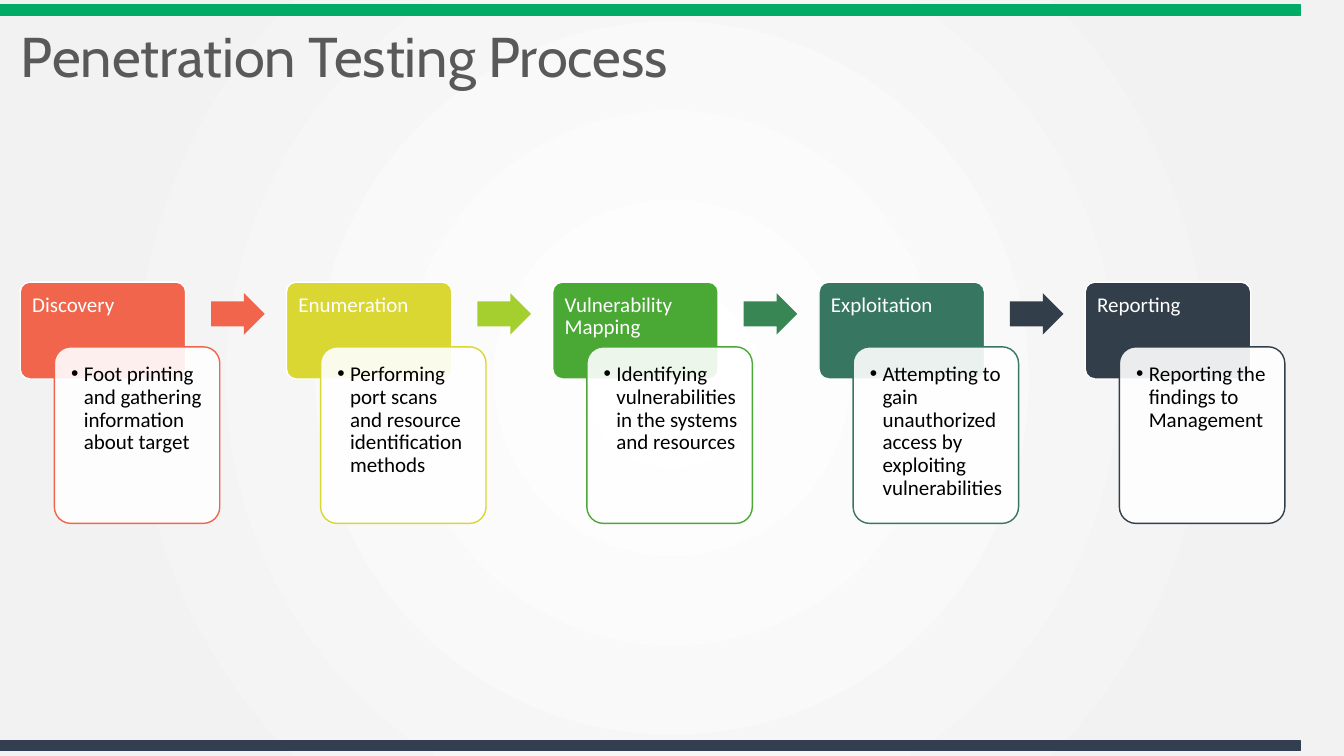
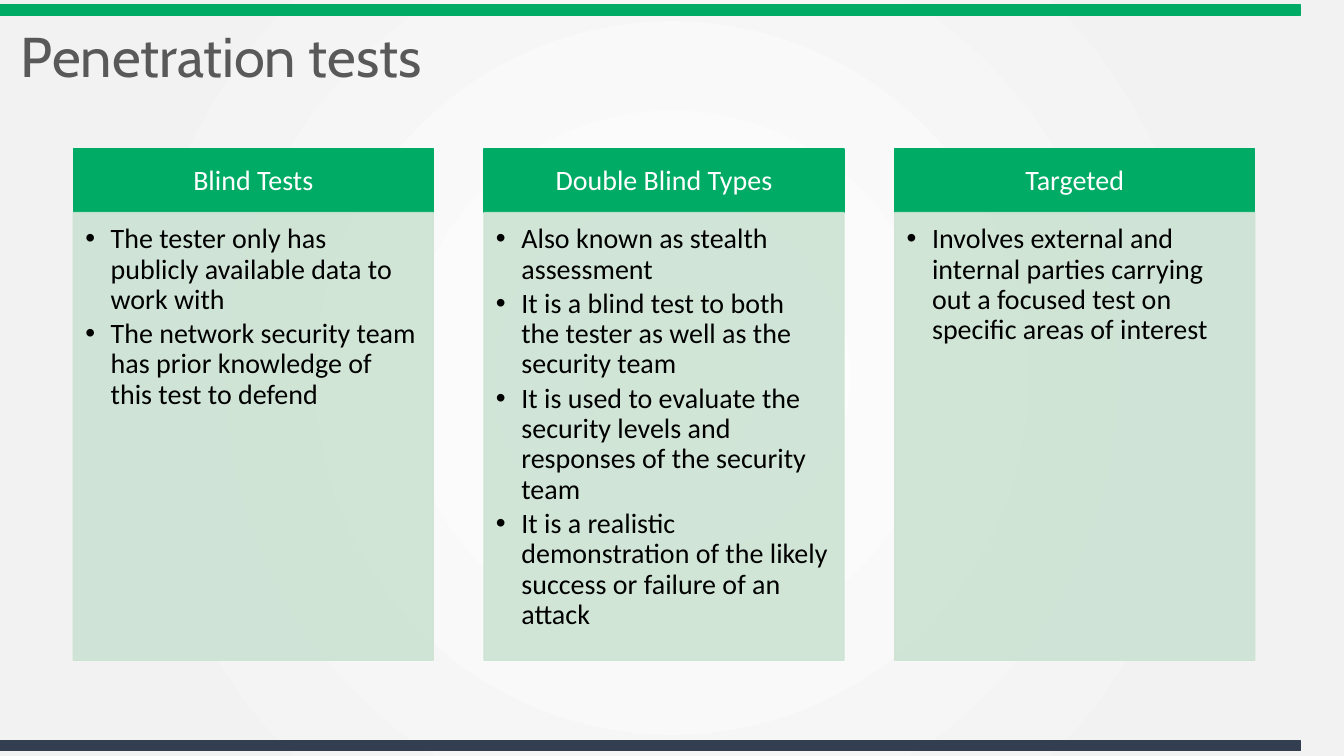
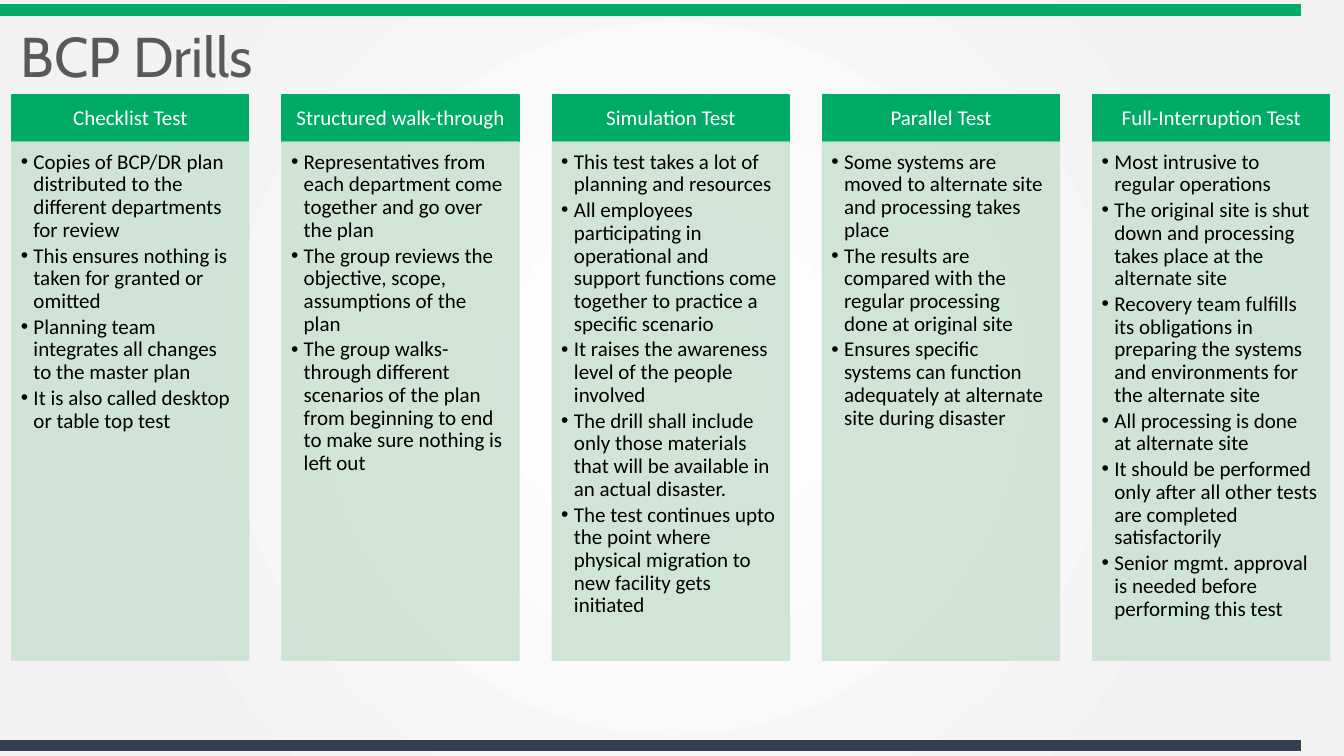
from lxml.etree import SubElement
from pptx import Presentation
from pptx.dml.color import RGBColor
from pptx.enum.shapes import MSO_SHAPE as Shape
from pptx.enum.text import MSO_ANCHOR as Anchor, PP_ALIGN as Align
from pptx.oxml.ns import qn
from pptx.util import Cm, Pt

GREEN, NAVY, PALE_GREEN = "00AC65", "333F50", "CCE3D3"
WHITE, BLACK, GREY, LIGHT_GREY = "FFFFFF", "000000", "595959", "F2F2F2"
BODY_FONT, TITLE_FONT = "Calibri", "Cabin"
SLIDE_WIDTH, SLIDE_HEIGHT = 33.87, 19.05
COLUMN_BOTTOM = 16.64


def paint(fill, color, opacity=100):
    fill.solid()
    fill.fore_color.rgb = RGBColor.from_string(color)
    if opacity < 100:
        # The colour element is reached through the fill of its parent
        for color_element in fill._xPr.iter(qn("a:srgbClr")):
            SubElement(color_element, qn("a:alpha"), val=str(opacity * 1000))


def add_bullet(paragraph, indent):
    properties = paragraph._p.get_or_add_pPr()
    properties.set("marL", str(Cm(indent)))
    properties.set("indent", str(-Cm(indent)))
    SubElement(properties, qn("a:buFont"), typeface="Arial")
    SubElement(properties, qn("a:buChar"), char="•")


def write(shape, texts, size, color=BLACK, font=BODY_FONT, align=Align.LEFT,
          anchor=Anchor.TOP, insets=(0.25, 0.13, 0.25, 0.13), after=0, bullet=None):
    """Fill a shape with paragraphs; insets run left, top, right, bottom in cm.

    after is the space below each paragraph as a share of the text size,
    bullet the hanging indent in cm."""
    frame = shape.text_frame
    frame.word_wrap = True
    frame.vertical_anchor = anchor
    (frame.margin_left, frame.margin_top,
     frame.margin_right, frame.margin_bottom) = map(Cm, insets)
    for index, text in enumerate(texts):
        paragraph = frame.add_paragraph() if index else frame.paragraphs[0]
        if bullet:
            add_bullet(paragraph, bullet)
        paragraph.alignment = align
        paragraph.line_spacing = 0.9
        paragraph.space_after = Pt(size * after)
        run = paragraph.add_run()
        run.text = text
        run.font.size = Pt(size)
        run.font.name = font
        run.font.color.rgb = RGBColor.from_string(color)


class Deck:
    def __init__(self):
        self.presentation = Presentation()
        self.presentation.slide_width = Cm(SLIDE_WIDTH)
        self.presentation.slide_height = Cm(SLIDE_HEIGHT)
        self.slide = None

    def new_slide(self, title):
        self.slide = self.presentation.slides.add_slide(self.presentation.slide_layouts[6])
        self.radial_background()
        for top, color in ((0.13, GREEN), (18.67, NAVY)):
            self.shape(Shape.RECTANGLE, 0, top, 32.77, 0.25, color, line=color)
        box = self.slide.shapes.add_textbox(Cm(0.28), Cm(0.48), Cm(29.72), Cm(2.03))
        write(box, [title], 40, GREY, TITLE_FONT, anchor=Anchor.MIDDLE)

    def radial_background(self):
        self.slide.background.fill.gradient()
        gradient = self.slide.element.find(".//" + qn("a:gradFill"))
        for child in list(gradient):
            gradient.remove(child)
        stops = SubElement(gradient, qn("a:gsLst"))
        for position, color in ((0, WHITE), (81, LIGHT_GREY), (100, LIGHT_GREY)):
            stop = SubElement(stops, qn("a:gs"), pos=str(position * 1000))
            SubElement(stop, qn("a:srgbClr"), val=color)
        circle = SubElement(gradient, qn("a:path"), path="circle")
        SubElement(circle, qn("a:fillToRect"), l="50000", t="50000", r="50000", b="50000")

    def shape(self, kind, left, top, width, height, fill, line=None,
              opacity=100, line_opacity=100, adjustments=()):
        shape = self.slide.shapes.add_shape(kind, Cm(left), Cm(top), Cm(width), Cm(height))
        shape.shadow.inherit = False
        paint(shape.fill, fill, opacity)
        if line:
            paint(shape.line.fill, line, line_opacity)
            shape.line.width = Pt(1)
        else:
            shape.line.fill.background()
        for index, value in enumerate(adjustments):
            shape.adjustments[index] = value
        return shape

    def step(self, left, name, detail, color, arrow_color):
        """Draw a process card, its overlapping detail card and the arrow onwards."""
        card = self.shape(Shape.ROUNDED_RECTANGLE, left, 7.11, 4.17, 2.44,
                          color, line=WHITE, adjustments=[0.1])
        write(card, [name], 15, WHITE, insets=(0.23, 0.23, 0.23, 0.15), after=0.35)
        detail_card = self.shape(Shape.ROUNDED_RECTANGLE, left + 0.86, 8.74, 4.17, 4.45,
                                 WHITE, line=color, opacity=90, adjustments=[0.1])
        write(detail_card, [detail], 15, insets=(0.3, 0.3, 0.25, 0.3), after=0.15, bullet=0.32)
        if arrow_color:
            self.shape(Shape.RIGHT_ARROW, left + 4.81, 7.39, 1.35, 1.04,
                       arrow_color, adjustments=[0.6, 0.5])

    def columns(self, columns, left, top, width, pitch, header_height, size, indent):
        """Draw headed bullet columns, with insets in proportion to the text size."""
        side, body_side = 0.02 * size, 0.015 * size
        body_top = top + header_height
        for index, (heading, points) in enumerate(columns):
            x = left + index * pitch
            header = self.shape(Shape.RECTANGLE, x, top, width, header_height, GREEN, line=GREEN)
            write(header, [heading], size, WHITE, align=Align.CENTER, anchor=Anchor.MIDDLE,
                  insets=(side, 0.6 * side, side, 0.6 * side), after=0.35)
            body = self.shape(Shape.RECTANGLE, x, body_top, width, COLUMN_BOTTOM - body_top,
                              PALE_GREEN, line=PALE_GREEN, opacity=90, line_opacity=90)
            write(body, points, size, insets=(body_side, body_side, side, side),
                  after=0.15, bullet=indent)


STEPS = [
    ("Discovery", "Foot printing and gathering information about target", "F1654C", "F1654C"),
    ("Enumeration", "Performing port scans and resource identification methods",
     "DAD733", "A5CF2E"),
    ("Vulnerability Mapping", "Identifying vulnerabilities in the systems and resources",
     "4AA934", "378654"),
    ("Exploitation", "Attempting to gain unauthorized access by exploiting vulnerabilities",
     "377660", "323F4B"),
    ("Reporting", "Reporting the findings to Management", "323F4B", None),
]

TEST_TYPES = [
    ("Blind Tests", [
        "The tester only has publicly available data to work with",
        "The network security team has prior knowledge of this test to defend",
    ]),
    ("Double Blind Types", [
        "Also known as stealth assessment",
        "It is a blind test to both the tester as well as the security team",
        "It is used to evaluate the security levels and responses of the security team",
        "It is a realistic demonstration of the likely success or failure of an attack",
    ]),
    ("Targeted", [
        "Involves external and internal parties carrying out a focused test on "
        "specific areas of interest",
    ]),
]

DRILLS = [
    ("Checklist Test", [
        "Copies of BCP/DR plan distributed to the different departments for review",
        "This ensures nothing is taken for granted or omitted",
        "Planning team integrates all changes to the master plan",
        "It is also called desktop or table top test",
    ]),
    ("Structured walk-through", [
        "Representatives from each department come together and go over the plan",
        "The group reviews the objective, scope, assumptions of the plan",
        "The group walks-through different scenarios of the plan from beginning to end "
        "to make sure nothing is left out",
    ]),
    ("Simulation Test", [
        "This test takes a lot of planning and resources",
        "All employees participating in operational and support functions come together "
        "to practice a specific scenario",
        "It raises the awareness level of the people involved",
        "The drill shall include only those materials that will be available in an "
        "actual disaster.",
        "The test continues upto the point where physical migration to new facility "
        "gets initiated",
    ]),
    ("Parallel Test", [
        "Some systems are moved to alternate site and processing takes place",
        "The results are compared with the regular processing done at original site",
        "Ensures specific systems can function adequately at alternate site during disaster",
    ]),
    ("Full-Interruption Test", [
        "Most intrusive to regular operations",
        "The original site is shut down and processing takes place at the alternate site",
        "Recovery team fulfills its obligations in preparing the systems and environments "
        "for the alternate site",
        "All processing is done at alternate site",
        "It should be performed only after all other tests are completed satisfactorily",
        "Senior mgmt. approval is needed before performing this test",
    ]),
]


def main():
    deck = Deck()

    deck.new_slide("Penetration Testing Process")
    for index, step in enumerate(STEPS):
        deck.step(0.51 + index * 6.71, *step)

    deck.new_slide("Penetration tests")
    deck.columns(TEST_TYPES, left=1.85, top=3.76, width=9.07, pitch=10.35,
                 header_height=1.6, size=20, indent=0.64)

    deck.new_slide("BCP Drills")
    deck.columns(DRILLS, left=0.3, top=2.39, width=5.97, pitch=6.81,
                 header_height=1.19, size=15, indent=0.32)

    deck.presentation.save("out.pptx")


if __name__ == "__main__":
    main()
